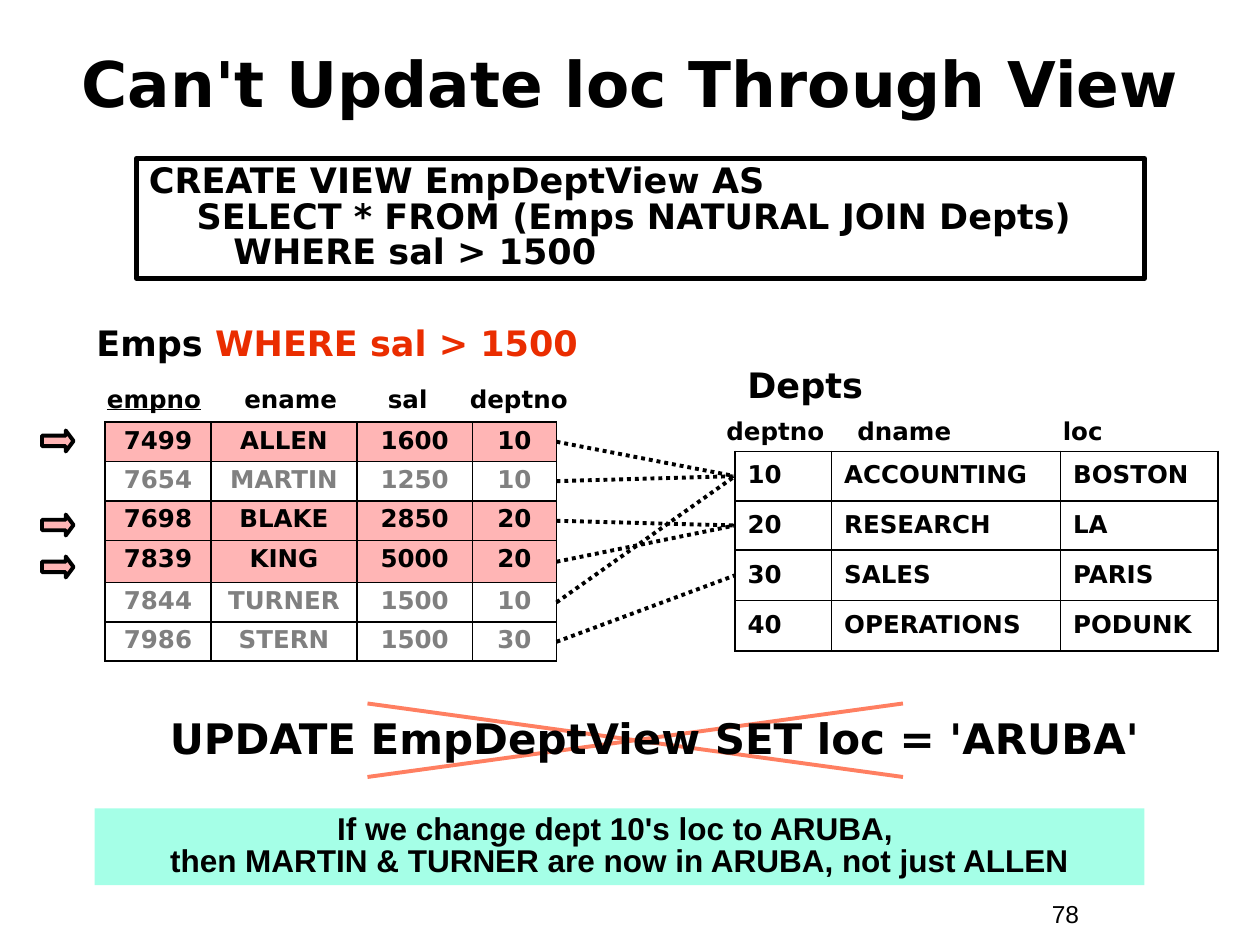
from lxml import etree
from pptx import Presentation
from pptx.dml.color import RGBColor
from pptx.enum.dml import MSO_LINE
from pptx.enum.shapes import MSO_CONNECTOR, MSO_SHAPE
from pptx.enum.text import MSO_ANCHOR, PP_ALIGN
from pptx.oxml import parse_xml
from pptx.oxml.ns import nsdecls, qn
from pptx.util import Inches, Pt

LEFT, CENTER = PP_ALIGN.LEFT, PP_ALIGN.CENTER
TOP, MIDDLE = MSO_ANCHOR.TOP, MSO_ANCHOR.MIDDLE
STRAIGHT, DOTTED = MSO_CONNECTOR.STRAIGHT, MSO_LINE.ROUND_DOT
RECTANGLE, RIGHT_ARROW = MSO_SHAPE.RECTANGLE, MSO_SHAPE.RIGHT_ARROW

SANS, ARIAL = "DejaVu Sans", "Arial"
BLACK, GRAY, RED = "000000", "808080", "EA2D00"
PINK, SALMON, MINT = "FFB5B5", "FF7F61", "A5FFE7"

# Grid of 120 columns by 90 rows, twelve to the inch
EMPS_LEFT, EMPS_TOP = 10, 40.2
EMPS_COLS = [10.1, 13.9, 11, 8]
EMPS_ROWS = [3.75, 3.75, 3.8, 4, 3.75, 3.75]
EMPS = [
    ("7499", "ALLEN", "1600", "10"),
    ("7654", "MARTIN", "1250", "10"),
    ("7698", "BLAKE", "2850", "20"),
    ("7839", "KING", "5000", "20"),
    ("7844", "TURNER", "1500", "10"),
    ("7986", "STERN", "1500", "30"),
]
DEPTS_LEFT, DEPTS_TOP = 70, 43
DEPTS_COLS = [9.2, 21.8, 15]
DEPTS_ROWS = [4.7, 4.7, 4.8, 4.8]
DEPTS = [
    ("10", "ACCOUNTING", "BOSTON"),
    ("20", "RESEARCH", "LA"),
    ("30", "SALES", "PARIS"),
    ("40", "OPERATIONS", "PODUNK"),
]
ARROW_ROWS = [41, 49, 53]
MIN_SAL = 1500


def grid(*units):
    return [Inches(unit / 12) for unit in units]


def rgb(value):
    return RGBColor.from_string(value)


def add_run(paragraph, text, size, color=BLACK, font=SANS, bold=True, underline=None):
    run = paragraph.add_run()
    run.text = text
    run.font.name, run.font.size = font, Pt(size)
    run.font.bold, run.font.underline = bold, underline
    run.font.color.rgb = rgb(color)


def format_paragraph(paragraph, align=LEFT, spacing=1.0, hanging=0):
    paragraph.alignment = align
    paragraph.line_spacing = spacing
    if hanging:
        properties = paragraph._p.get_or_add_pPr()
        properties.set("marL", str(Inches(hanging)))
        properties.set("indent", str(-Inches(hanging)))
    return paragraph


def add_lines(paragraph, lines, size, font=SANS):
    for index, line in enumerate(lines):
        if index:
            paragraph.add_line_break()
        add_run(paragraph, line, size, font=font)


def add_label(slide, box, anchor=TOP, **layout):
    frame = slide.shapes.add_textbox(*grid(*box)).text_frame
    frame.word_wrap, frame.vertical_anchor = True, anchor
    return format_paragraph(frame.paragraphs[0], **layout)


def add_column_names(slide, box, names, stops, key=None):
    paragraph = add_label(slide, box)
    tabs = etree.SubElement(paragraph._p.get_or_add_pPr(), qn("a:tabLst"))
    for stop in stops:
        etree.SubElement(tabs, qn("a:tab"), pos=str(Inches(stop)), algn="l")
    for index, name in enumerate(names):
        if index:
            add_run(paragraph, "\t", 14)
        add_run(paragraph, name, 14, underline=name == key)


def add_panel(slide, kind, box, fill=None, line_width=0):
    panel = slide.shapes.add_shape(kind, *grid(*box))
    panel.shadow.inherit = False
    if fill:
        panel.fill.solid()
        panel.fill.fore_color.rgb = rgb(fill)
    else:
        panel.fill.background()
    if line_width:
        panel.line.color.rgb = rgb(BLACK)
        panel.line.width = Pt(line_width)
    else:
        panel.line.fill.background()
    panel.text_frame.word_wrap = True
    panel.text_frame.vertical_anchor = TOP
    return panel


def add_line(slide, start, end, color, dash=None):
    line = slide.shapes.add_connector(STRAIGHT, *grid(*start, *end))
    line.line.color.rgb = rgb(color)
    line.line.width = Pt(2.25)
    if dash:
        line.line.dash_style = dash
    etree.SubElement(line._element.spPr, qn("a:effectLst"))


def add_borders(cell):
    properties = cell._tc.get_or_add_tcPr()
    for index, side in enumerate(("lnL", "lnR", "lnT", "lnB")):
        properties.insert(index, parse_xml(
            f'<a:{side} {nsdecls("a")} w="{Pt(1.08)}"><a:solidFill>'
            f'<a:srgbClr val="{BLACK}"/></a:solidFill></a:{side}>'))


def add_data_table(slide, corner, widths, heights, records, style, align, anchor):
    """style(record) gives the text colour and the fill of its row."""
    box = grid(*corner, sum(widths), sum(heights))
    table = slide.shapes.add_table(len(records), len(widths), *box).table
    table.first_row = table.horz_banding = False
    for column, width in zip(table.columns, grid(*widths)):
        column.width = width
    for row, height, record in zip(table.rows, grid(*heights), records):
        row.height = height
        color, fill = style(record)
        for cell, value in zip(row.cells, record):
            cell.vertical_anchor = anchor
            if fill:
                cell.fill.solid()
                cell.fill.fore_color.rgb = rgb(fill)
            else:
                cell.fill.background()
            add_borders(cell)
            paragraph = format_paragraph(cell.text_frame.paragraphs[0], align, 0.9)
            add_run(paragraph, value, 14, color)


def row_middles(top, heights):
    return [top + sum(heights[:i]) + height / 2 for i, height in enumerate(heights)]


def emp_style(record):
    return (BLACK, PINK) if int(record[2]) > MIN_SAL else (GRAY, None)


def add_joins(slide):
    dept_middles = row_middles(DEPTS_TOP, DEPTS_ROWS)
    dept_y = {dept[0]: y for dept, y in zip(DEPTS, dept_middles)}
    emps_right = EMPS_LEFT + sum(EMPS_COLS)
    for emp, y in zip(EMPS, row_middles(EMPS_TOP, EMPS_ROWS)):
        add_line(slide, (emps_right, y), (DEPTS_LEFT, dept_y[emp[-1]]), BLACK, DOTTED)


def main():
    prs = Presentation()
    prs.slide_width, prs.slide_height = grid(120, 90)
    slide = prs.slides.add_slide(prs.slide_layouts[6])

    # Page number and title
    add_run(add_label(slide, (99, 85, 11, 4.1)), "78", 14, font=ARIAL, bold=False)
    title = add_label(slide, (4, 4, 112, 9), MIDDLE, align=CENTER, spacing=0.8)
    add_run(title, "Can't Update loc Through View", 36)

    # Employees
    add_column_names(slide, (9, 36, 62, 4.1), ["empno", "ename", "sal", "deptno"],
                     [1.09, 2.23, 2.88], key="empno")
    add_data_table(slide, (EMPS_LEFT, EMPS_TOP), EMPS_COLS, EMPS_ROWS, EMPS,
                   emp_style, CENTER, TOP)
    emps_heading = add_label(slide, (8, 30, 54, 5.3))
    add_run(emps_heading, "Emps ", 20)
    add_run(emps_heading, "WHERE sal > 1500", 20, RED)

    # Departments and the join between the tables
    add_joins(slide)
    add_data_table(slide, (DEPTS_LEFT, DEPTS_TOP), DEPTS_COLS, DEPTS_ROWS, DEPTS,
                   lambda record: (BLACK, None), LEFT, MIDDLE)
    add_column_names(slide, (68, 39, 43, 4.1), ["deptno", "dname", "loc"], [1.04, 2.67])
    add_run(add_label(slide, (70, 34, 28, 5.3)), "Depts", 20)

    # View definition
    view = add_panel(slide, RECTANGLE, (13, 15.1, 96, 11.4), line_width=3)
    code = format_paragraph(view.text_frame.paragraphs[0], spacing=0.85, hanging=0.38)
    add_lines(code, ["CREATE VIEW EmpDeptView AS",
                     "SELECT * FROM (Emps NATURAL JOIN Depts)",
                     "   WHERE sal > 1500"], 20)

    # Crossed-out update
    add_line(slide, (35, 74), (86, 67), SALMON)
    add_line(slide, (35, 67), (86, 74), SALMON)
    update = add_label(slide, (15, 68, 96, 7), spacing=0.85, hanging=0.38)
    add_run(update, "UPDATE EmpDeptView SET loc = 'ARUBA'", 24)

    # Explanation
    reason = add_panel(slide, RECTANGLE, (9, 77, 100, 7.3), MINT)
    add_lines(format_paragraph(reason.text_frame.paragraphs[0], CENTER, 0.85),
              ["If we change dept 10's loc to ARUBA, ",
               "then MARTIN & TURNER are now in ARUBA, not just ALLEN"], 18, ARIAL)

    # Arrows at the selected employees
    for row in ARROW_ROWS:
        arrow = add_panel(slide, RIGHT_ARROW, (4, row, 3, 2), PINK, 2.25)
        arrow.adjustments[1] = 0.37

    prs.save("out.pptx")


if __name__ == "__main__":
    main()
